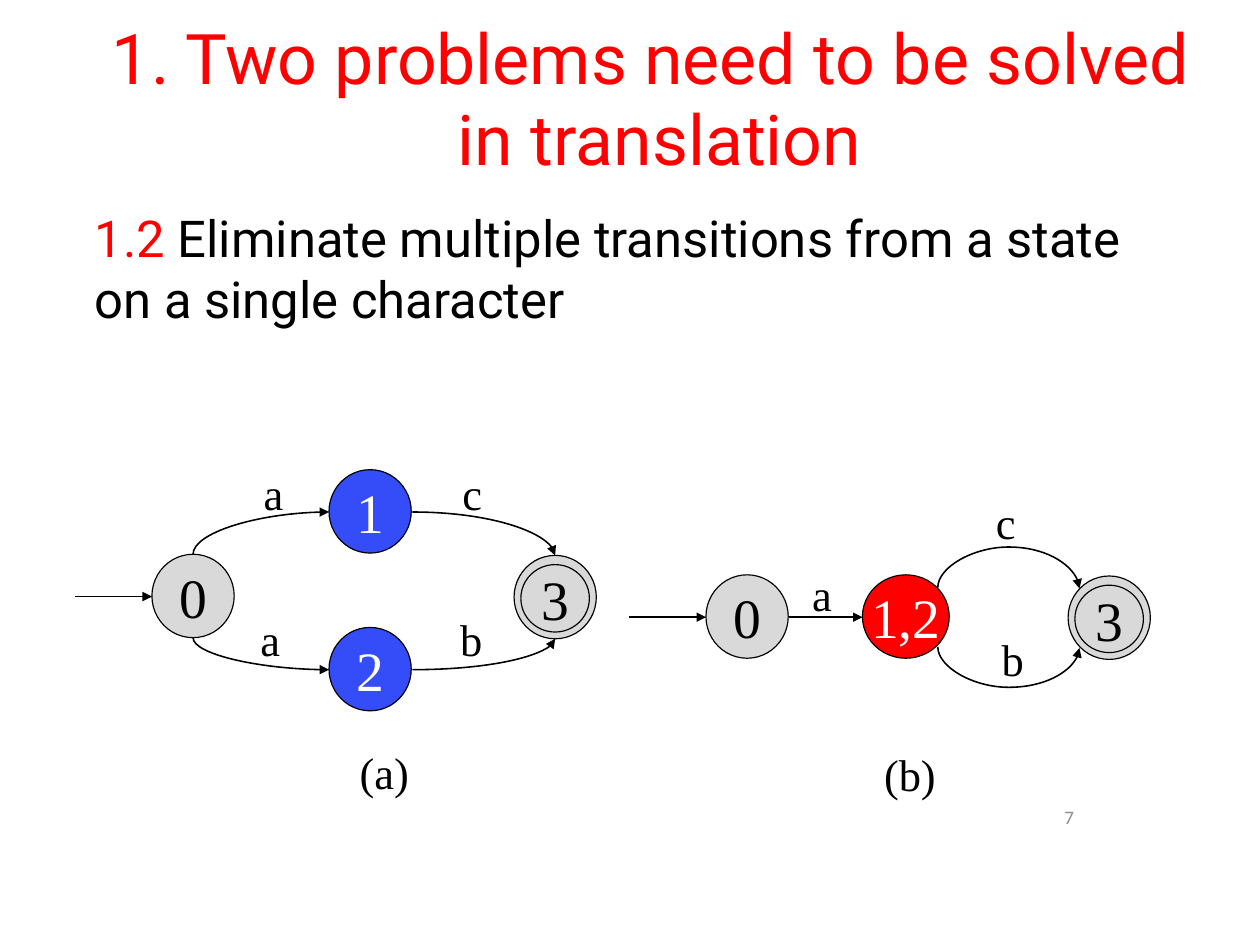
import pptx
import pptx.dml.color
import pptx.enum.shapes
import pptx.enum.text
import pptx.oxml
import pptx.oxml.ns
import pptx.util

PX = 9144  # 100 px to the inch
COLORS = {"red": "FF0000", "black": "000000", "white": "FFFFFF",
          "gray": "D9D9D9", "blue": "354CF9", "page": "8C8C8C"}
SERIF = "Times New Roman"
STATE_W, STATE_H = 72, 73
RIM = 6
ALIGN = pptx.enum.text.PP_ALIGN
ANCHOR = pptx.enum.text.MSO_ANCHOR
CONNECTOR = pptx.enum.shapes.MSO_CONNECTOR


def emu(*lengths):
    return [pptx.util.Emu(length * PX) for length in lengths]


def rgb(color):
    return pptx.dml.color.RGBColor.from_string(COLORS[color])


def add_run(paragraph, text, size, font, color):
    run = paragraph.add_run()
    run.text = text
    run.font.size = pptx.util.Pt(size)
    run.font.name = font
    run.font.color.rgb = rgb(color)


def set_margins(frame, bottom=0):
    frame.margin_left = frame.margin_top = frame.margin_right = 0
    frame.margin_bottom = emu(bottom)[0]


def add_title(slide):
    title = slide.shapes.title
    title.left, title.top, title.width, title.height = emu(73, 15, 994, 148)
    frame = title.text_frame
    frame.auto_size = pptx.enum.text.MSO_AUTO_SIZE.NONE
    frame.vertical_anchor = ANCHOR.MIDDLE
    set_margins(frame, bottom=5)
    paragraph = frame.paragraphs[0]
    paragraph.alignment = ALIGN.CENTER
    paragraph.line_spacing = pptx.util.Pt(51)
    add_run(paragraph, "1. Two problems need to be solved", 44, "Roboto", "red")
    paragraph.add_line_break()
    add_run(paragraph, " in translation", 44, "Roboto", "red")


def add_text(slide, box, runs, align=ALIGN.LEFT, anchor=ANCHOR.TOP):
    """Add a wrapped box; each run is (text, size, font, color)."""
    frame = slide.shapes.add_textbox(*emu(*box)).text_frame
    frame.word_wrap = True
    frame.vertical_anchor = anchor
    paragraph = frame.paragraphs[0]
    paragraph.alignment = align
    for run in runs:
        add_run(paragraph, *run)


def add_label(slide, left, top, text, width=72):
    add_text(slide, (left, top, width, 57), [(text, 28, SERIF, "black")])


def add_circle(slide, box, fill):
    circle = slide.shapes.add_shape(
        pptx.enum.shapes.MSO_SHAPE.OVAL, *emu(*box))
    circle.shadow.inherit = False
    circle.fill.solid()
    circle.fill.fore_color.rgb = rgb(fill)
    circle.line.color.rgb = rgb("black")
    circle.line.width = pptx.util.Pt(0.75)
    return circle


def add_state(slide, left, top, name, fill="gray", color="black",
              width=STATE_W, final=False):
    """Add an automaton state; a final one gets a second, inner ring."""
    circle = add_circle(slide, (left, top, width, STATE_H), fill)
    if final:
        circle = add_circle(slide, (left + RIM, top + RIM + 2, width - 2 * RIM,
                                    STATE_H - 2 * RIM - 2), fill)
    frame = circle.text_frame
    frame.word_wrap = False
    frame.vertical_anchor = ANCHOR.MIDDLE
    set_margins(frame)
    frame.paragraphs[0].alignment = ALIGN.CENTER
    add_run(frame.paragraphs[0], name, 35, SERIF, color)


def add_arrow(slide, start, end, kind=CONNECTOR.STRAIGHT):
    arrow = slide.shapes.add_connector(kind, *emu(*start, *end))
    arrow.line.color.rgb = rgb("black")
    arrow.line.width = pptx.util.Pt(1)
    line = arrow.line._get_or_add_ln()
    tip = pptx.oxml.parse_xml(
        f'<a:tailEnd {pptx.oxml.ns.nsdecls("a")} type="triangle"/>')
    line.append(tip)
    arrow.element.spPr.append(pptx.oxml.parse_xml(
        f'<a:effectLst {pptx.oxml.ns.nsdecls("a")}/>'))
    return arrow


def add_curve(slide, start, end, upright=False, bulge=None):
    """Add a quarter curve, or with a bulge (px, down positive) an arc.

    An upright curve leaves its start vertically.
    """
    arrow = add_arrow(slide, start, end, CONNECTOR.CURVE)
    properties = arrow.element.spPr
    geometry = properties.find(pptx.oxml.ns.qn("a:prstGeom"))
    rise = end[1] - start[1]
    if bulge is None:
        geometry.set("prst", "curvedConnector2")
    else:
        guides = geometry.get_or_add_avLst()
        guides.append(pptx.oxml.parse_xml(
            f'<a:gd {pptx.oxml.ns.nsdecls("a")} name="adj1" '
            f'fmla="val {round(bulge / rise * 100000)}"/>'))
    if upright:
        center_x = arrow.left + arrow.width // 2
        center_y = arrow.top + arrow.height // 2
        arrow.width, arrow.height = arrow.height, arrow.width
        arrow.left = center_x - arrow.width // 2
        arrow.top = center_y - arrow.height // 2
        frame = properties.find(pptx.oxml.ns.qn("a:xfrm"))
        frame.set("rot", str((90 if rise < 0 else 270) * 60000))
        frame.set("flipH", "1")
        frame.set("flipV", "1" if rise < 0 else "0")


def add_nondeterministic(slide):
    add_state(slide, 133, 485, "0")
    add_state(slide, 288, 411, "1", "blue", "white")
    add_state(slide, 288, 549, "2", "blue", "white")
    add_state(slide, 450, 486, "3", final=True)
    add_arrow(slide, (66, 522), (133, 522))
    for y, start_y, end_y in ((448, 485, 486), (586, 558, 559)):
        add_curve(slide, (169, start_y), (288, y), upright=True)
        add_curve(slide, (361, y), (486, end_y))
    add_label(slide, 221, 403, "a")
    add_label(slide, 218, 531, "a")
    add_label(slide, 393, 531, "b")
    add_label(slide, 395, 403, "c")
    add_label(slide, 305, 647, "(a)", width=135)


def add_deterministic(slide):
    add_state(slide, 618, 503, "0")
    add_state(slide, 935, 504, "3", final=True)
    add_arrow(slide, (551, 540), (618, 540))
    add_arrow(slide, (691, 540), (755, 540))
    for y, bulge in ((514, -36), (566, 36)):
        add_curve(slide, (821, y), (945, y + 1), upright=True, bulge=bulge)
    add_state(slide, 755, 503, "1,2", "red", "white", width=76)
    add_label(slide, 701, 491, "a")
    add_label(slide, 867, 548, "b")
    add_label(slide, 862, 428, "c")
    add_label(slide, 764, 649, "(b)", width=135)


def main():
    deck = pptx.Presentation()
    deck.slide_width, deck.slide_height = emu(1103, 826)
    slide = deck.slides.add_slide(deck.slide_layouts[5])
    add_title(slide)
    add_text(slide, (73, 176, 937, 129), [
        ("1.2", 32, "Roboto", "red"),
        (" Eliminate multiple transitions from a state on a single character",
         32, "Roboto", "black")])
    add_nondeterministic(slide)
    add_deterministic(slide)
    add_text(slide, (717, 695, 233, 40), [("7", 12, "Calibri", "page")],
             ALIGN.RIGHT, ANCHOR.MIDDLE)
    deck.save("out.pptx")


if __name__ == "__main__":
    main()
